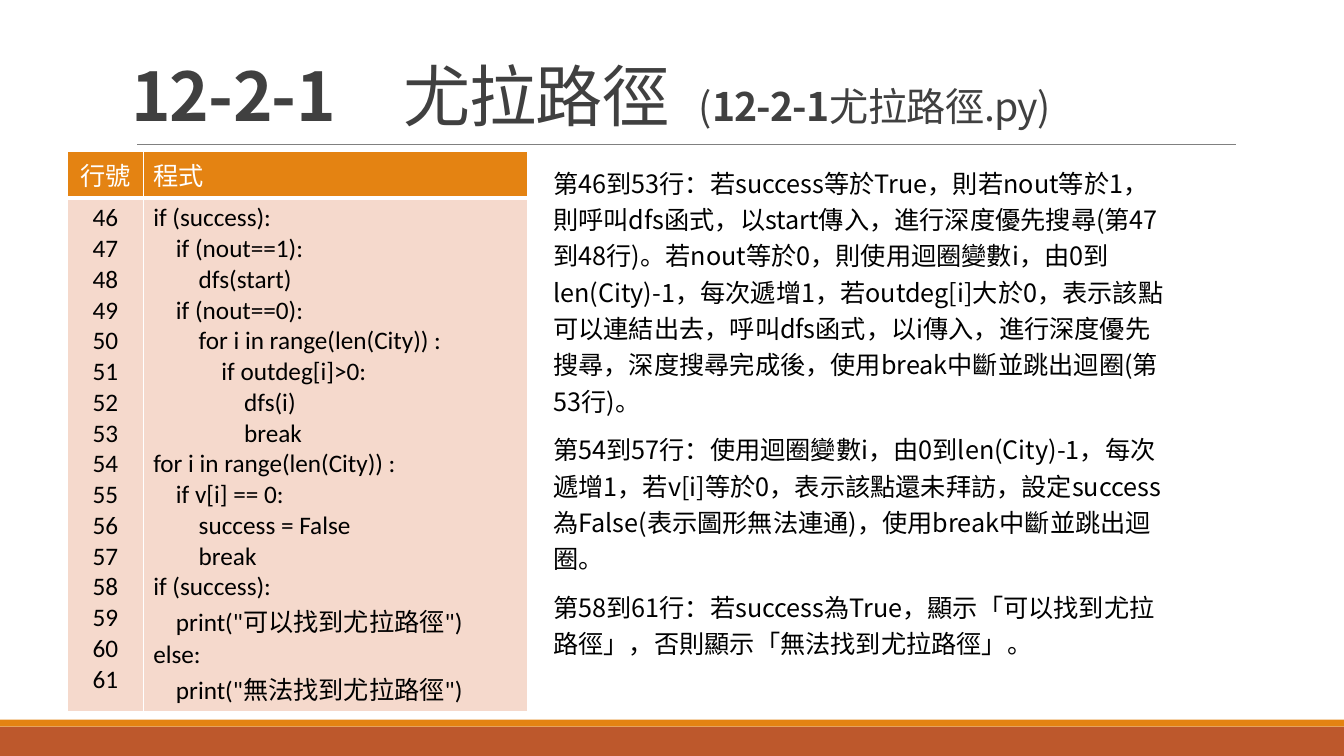
from lxml import etree
from pptx import Presentation
from pptx.dml.color import RGBColor
from pptx.enum.shapes import MSO_CONNECTOR, MSO_SHAPE
from pptx.enum.text import MSO_ANCHOR, PP_ALIGN
from pptx.oxml.ns import qn
from pptx.util import Inches, Pt

STRAIGHT = MSO_CONNECTOR.STRAIGHT
RECTANGLE = MSO_SHAPE.RECTANGLE
BOTTOM = MSO_ANCHOR.BOTTOM
LEFT = PP_ALIGN.LEFT
CENTER = PP_ALIGN.CENTER

WHITE = RGBColor(0xFF, 0xFF, 0xFF)
BLACK = RGBColor(0, 0, 0)
DARK = RGBColor(0x40, 0x40, 0x40)
GRAY = RGBColor(0x80, 0x80, 0x80)
ORANGE = RGBColor(0xE4, 0x83, 0x12)
RUST = RGBColor(0xBD, 0x58, 0x2C)
PEACH = RGBColor(0xF5, 0xD9, 0xCC)

SANS = "Noto Sans CJK SC"
CODE_FONT = "Calibri"
FIRST_LINE = 46

TITLE_PARTS = [
    ("12-2-1\u3000".replace("\u3000", "　"), 48, True, -0.5),
    ("尤拉路徑", 48, False, -0.5),
    (" ", 48, False, 10),
    ("(", 28, False, -0.5),
    ("12-2-1", 28, True, -0.5),
    ("尤拉路徑.py)", 28, False, -0.5),
]

CODE = '''if (success):
    if (nout==1):
        dfs(start)
    if (nout==0):
        for i in range(len(City)) :
            if outdeg[i]>0:
                dfs(i)
                break
for i in range(len(City)) :
    if v[i] == 0:
        success = False
        break
if (success):
    print("可以找到尤拉路徑")
else:
    print("無法找到尤拉路徑")'''.split("\n")

EXPLANATIONS = [
    "第46到53行：若success等於True，則若nout等於1，則呼叫dfs函式，以start傳入，"
    "進行深度優先搜尋(第47到48行)。若nout等於0，則使用迴圈變數i，由0到len(City)-1，"
    "每次遞增1，若outdeg[i]大於0，表示該點可以連結出去，呼叫dfs函式，以i傳入，"
    "進行深度優先搜尋，深度搜尋完成後，使用break中斷並跳出迴圈(第53行)。",
    "第54到57行：使用迴圈變數i，由0到len(City)-1，每次遞增1，若v[i]等於0，"
    "表示該點還未拜訪，設定success為False(表示圖形無法連通)，使用break中斷並跳出迴圈。",
    "第58到61行：若success為True，顯示「可以找到尤拉路徑」，否則顯示「無法找到尤拉路徑」。",
]


def apply_format(target, values):
    for name, value in values.items():
        setattr(target, name, value)


def add_run(paragraph, text, color, font=SANS, size=18, bold=False, spacing=0):
    run = paragraph.add_run()
    run.text = text
    apply_format(run.font, {"name": font, "size": Pt(size), "bold": bold})
    run.font.color.rgb = color
    properties = run.font._element
    properties.set("spc", str(int(spacing * 100)))
    east_asian = etree.Element(qn("a:ea"), typeface=SANS)
    properties.find(qn("a:latin")).addnext(east_asian)


def add_footer(slide, left, top, width, height):
    stripe = 0.07
    bands = [(top, stripe, ORANGE), (top + stripe, height - stripe, RUST)]
    for band_top, band_height, color in bands:
        band = slide.shapes.add_shape(
            RECTANGLE, Inches(left), Inches(band_top), Inches(width), Inches(band_height))
        band.shadow.inherit = False
        band.fill.solid()
        band.fill.fore_color.rgb = color
        band.line.fill.background()


def add_heading(slide, left, top, width, height):
    title = slide.shapes.title
    apply_format(title, {"left": Inches(left), "top": Inches(top),
                         "width": Inches(width), "height": Inches(height)})
    apply_format(title.text_frame, {"vertical_anchor": BOTTOM, "word_wrap": True})
    paragraph = title.text_frame.paragraphs[0]
    apply_format(paragraph, {"alignment": LEFT, "line_spacing": 0.85})
    for text, size, bold, spacing in TITLE_PARTS:
        add_run(paragraph, text, DARK, size=size, bold=bold, spacing=spacing)

    rule_y = Inches(top + height + 0.04)
    rule = slide.shapes.add_connector(
        STRAIGHT, Inches(left + 0.16), rule_y, Inches(left + width + 0.06), rule_y)
    rule.line.color.rgb = GRAY
    rule.line.width = Pt(0.5)
    etree.SubElement(rule._element.spPr, qn("a:effectLst"))


def set_borders(cell, bottom_width):
    properties = cell._tc.get_or_add_tcPr()
    sides = [("L", 1), ("R", 1), ("T", 1), ("B", bottom_width)]
    for position, (side, width) in enumerate(sides):
        border = etree.Element(qn(f"a:ln{side}"), w=str(Pt(width)))
        fill = etree.SubElement(border, qn("a:solidFill"))
        etree.SubElement(fill, qn("a:srgbClr"), val=str(WHITE))
        properties.insert(position, border)


def fill_cell(cell, lines, alignment, text_color, background, bottom_width):
    cell.fill.solid()
    cell.fill.fore_color.rgb = background
    set_borders(cell, bottom_width)
    frame = cell.text_frame
    for index, line in enumerate(lines):
        paragraph = frame.add_paragraph() if index else frame.paragraphs[0]
        paragraph.alignment = alignment
        add_run(paragraph, line, text_color, font=CODE_FONT)


def add_code_table(slide, left, top, width, height):
    header_height, number_width = 0.46, 0.75
    listing = slide.shapes.add_table(
        2, 2, Inches(left), Inches(top), Inches(width), Inches(height)).table
    listing.horz_banding = False
    listing.columns[0].width = Inches(number_width)
    listing.columns[1].width = Inches(width - number_width)
    listing.rows[0].height = Inches(header_height)
    listing.rows[1].height = Inches(height - header_height)
    line_numbers = [str(FIRST_LINE + offset) for offset in range(len(CODE))]
    columns = [("行號", line_numbers, CENTER), ("程式", CODE, LEFT)]
    for column, (header, lines, alignment) in enumerate(columns):
        fill_cell(listing.cell(0, column), [header], alignment, WHITE, ORANGE, 3)
        fill_cell(listing.cell(1, column), lines, alignment, BLACK, PEACH, 1)


def add_explanation(slide, left, top, width, height):
    frame = slide.shapes.add_textbox(
        Inches(left), Inches(top), Inches(width), Inches(height)).text_frame
    frame.word_wrap = True
    for index, text in enumerate(EXPLANATIONS):
        paragraph = frame.add_paragraph() if index else frame.paragraphs[0]
        apply_format(paragraph, {"line_spacing": 1.2, "space_after": Pt(3),
                                 "space_before": Pt(6 if index else 0)})
        add_run(paragraph, text, BLACK)


def main():
    deck = Presentation()
    deck.slide_width = Inches(13.33)
    deck.slide_height = Inches(7.5)
    slide = deck.slides.add_slide(deck.slide_layouts[5])
    add_footer(slide, 0, 7.14, 13.33, 0.36)
    add_heading(slide, 1.2, 0.31, 11, 1.08)
    add_code_table(slide, 0.67, 1.5, 4.56, 5.54)
    add_explanation(slide, 5.39, 1.56, 6.26, 5.08)
    deck.save("out.pptx")


if __name__ == "__main__":
    main()
